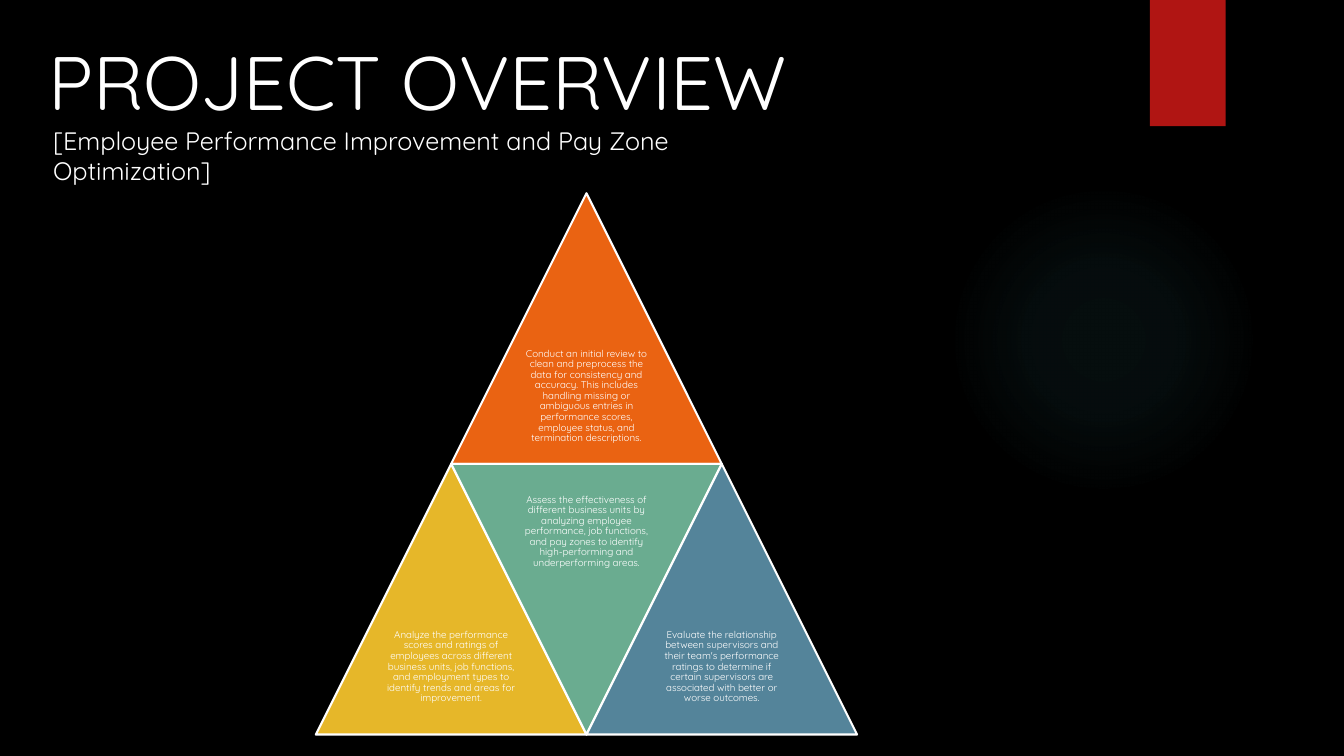
from lxml import etree
from pptx import Presentation
from pptx.dml.color import RGBColor as RGB
from pptx.enum.shapes import MSO_SHAPE as SHAPE
from pptx.enum.text import MSO_ANCHOR as ANCHOR, MSO_AUTO_SIZE as AUTO, PP_ALIGN as ALIGN
from pptx.oxml import parse_xml
from pptx.util import Cm, Pt

THEME = {
    "font": "Quicksand",
    "bg": "000000", "text": "FFFFFF", "edge": "FFFFFF",
    "ribbon": "B01513", "glow": "50B9C1",
    "orange": "EA6312", "yellow": "E6B729", "green": "6AAC90", "blue": "54849A",
    "title_pt": 54, "subtitle_pt": 18, "body_pt": 7, "edge_pt": 1.5,
}
HEADING = {
    "frame": {"word_wrap": True, "vertical_anchor": ANCHOR.TOP,
              "auto_size": AUTO.SHAPE_TO_FIT_TEXT,
              "margin_left": Cm(0.25), "margin_right": Cm(0.25),
              "margin_top": Cm(0.13), "margin_bottom": Cm(0.13)},
    "para": {"alignment": ALIGN.LEFT},
}
BODY = {
    "frame": {"word_wrap": True, "vertical_anchor": ANCHOR.MIDDLE, "auto_size": AUTO.NONE,
              "margin_left": Cm(0.07), "margin_right": Cm(0.07),
              "margin_top": Cm(0.07), "margin_bottom": Cm(0.07)},
    "para": {"alignment": ALIGN.CENTER, "line_spacing": 0.9, "space_after": Pt(2.45)},
}


def add_block(shape, color, *box):
    sp = slide.shapes.add_shape(shape, *map(Cm, box))
    sp.shadow.inherit = False
    sp.fill.solid()
    sp.fill.fore_color.rgb = RGB.from_string(THEME[color])
    sp.line.fill.background()
    return sp


def write(sp, text, size, style):
    tf = sp.text_frame
    p = tf.paragraphs[0]
    r = p.add_run()
    r.text = text
    font = {"name": THEME["font"], "size": Pt(THEME[size]), "bold": False}
    for target, values in ((tf, style["frame"]), (p, style["para"]), (r.font, font)):
        for name, value in values.items():
            setattr(target, name, value)
    r.font.color.rgb = RGB.from_string(THEME["text"])


prs = Presentation()
prs.slide_width, prs.slide_height = Cm(33.87), Cm(19.05)
slide = prs.slides.add_slide(prs.slide_layouts[5])
slide.background.fill.solid()
slide.background.fill.fore_color.rgb = RGB.from_string(THEME["bg"])

glow = add_block(SHAPE.OVAL, "glow", 23.9, 4.65, 7.82, 7.82)
stops = "".join(
    f'<a:gs pos="{pos * 1000}"><a:srgbClr val="{THEME["glow"]}">'
    f'<a:alpha val="{alpha * 1000}"/></a:srgbClr></a:gs>'
    for pos, alpha in ((0, 7), (36, 6), (69, 0)))
gradient = parse_xml(
    '<a:gradFill xmlns:a="http://schemas.openxmlformats.org/drawingml/2006/main">'
    f'<a:gsLst>{stops}</a:gsLst><a:path path="circle">'
    '<a:fillToRect l="50000" t="50000" r="50000" b="50000"/></a:path></a:gradFill>')
spPr = glow._element.spPr
spPr.replace(spPr.find("{*}solidFill"), gradient)

add_block(SHAPE.RECTANGLE, "ribbon", 28.98, 0, 1.91, 3.18)

title = slide.shapes.title
title.left, title.top, title.width, title.height = map(Cm, (0.97, 0.76, 19.84, 2.57))
write(title, "PROJECT OVERVIEW", "title_pt", HEADING)

subtitle = slide.shapes.add_textbox(*map(Cm, (1.09, 3.02, 20.09, 1.02)))
write(subtitle, "[Employee Performance Improvement and Pay Zone Optimization]",
      "subtitle_pt", HEADING)

side = 6.82
half = side / 2
pyramid_left, pyramid_top = 7.96, 4.87
triangles = [
    (1, 0, 0, "orange", "Conduct an initial review to clean and preprocess the data for "
     "consistency and accuracy. This includes handling missing or ambiguous entries in "
     "performance scores, employee status, and termination descriptions."),
    (0, 1, 0, "yellow", "Analyze the performance scores and ratings of employees across "
     "different business units, job functions, and employment types to identify trends "
     "and areas for improvement."),
    (1, 1, 180, "green", "Assess the effectiveness of different business units by analyzing "
     "employee performance, job functions, and pay zones to identify high-performing and "
     "underperforming areas."),
    (2, 1, 0, "blue", "Evaluate the relationship between supervisors and their team's "
     "performance ratings to determine if certain supervisors are associated with better "
     "or worse outcomes."),
]
for column, row, rotation, color, text in triangles:
    left = pyramid_left + column * half
    top = pyramid_top + row * side
    sp = add_block(SHAPE.ISOSCELES_TRIANGLE, color, left, top, side, side)
    sp.rotation = rotation
    sp.line.color.rgb = RGB.from_string(THEME["edge"])
    sp.line.width = Pt(THEME["edge_pt"])
    text_top = top if rotation else top + half
    label = slide.shapes.add_textbox(*map(Cm, (left + half / 2, text_top, half, half)))
    write(label, text, "body_pt", BODY)

prs.save("out.pptx")
